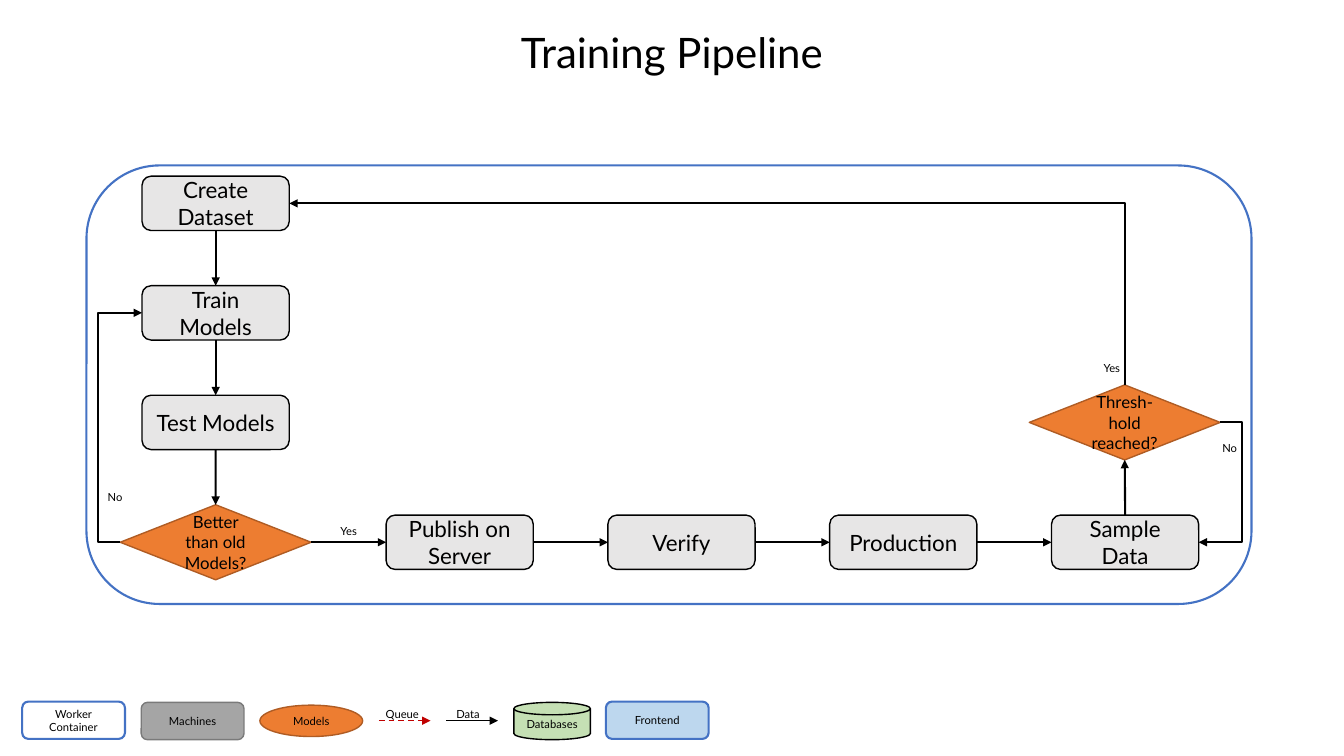
"""Build the Training Pipeline flow chart slide with its legend."""
import lxml.etree
import pptx
import pptx.dml.color
import pptx.enum.dml
import pptx.enum.shapes
import pptx.enum.text
import pptx.oxml.ns
import pptx.util

Cm = pptx.util.Cm
Pt = pptx.util.Pt
SHAPE = pptx.enum.shapes.MSO_SHAPE
CONNECTOR = pptx.enum.shapes.MSO_CONNECTOR
ALIGN = pptx.enum.text.PP_ALIGN
color = pptx.dml.color.RGBColor.from_string
qn = pptx.oxml.ns.qn

BLACK, BLUE, RED = "000000", "4472C4", "C00000"
GREY, ORANGE, BROWN = "E7E6E6", "ED7D31", "AF5C24"
TOP, LEFT, BOTTOM, RIGHT = range(4)

presentation = pptx.Presentation()
presentation.slide_width = Cm(33.87)
presentation.slide_height = Cm(19.05)
slide = presentation.slides.add_slide(presentation.slide_layouts[5])


def write(shape, text, size, align=ALIGN.CENTER):
    frame = shape.text_frame
    frame.text = text
    frame.word_wrap = True
    frame.vertical_anchor = pptx.enum.text.MSO_ANCHOR.MIDDLE
    paragraph = frame.paragraphs[0]
    paragraph.alignment = align
    for run in paragraph.runs:
        run.font.name = "Lato"
        run.font.size = Pt(size)
        run.font.color.rgb = color(BLACK)


def add_box(kind, text, left, top, width, height, size, fill, line, line_width=1):
    shape = slide.shapes.add_shape(kind, Cm(left), Cm(top), Cm(width), Cm(height))
    shape.shadow.inherit = False
    if fill:
        shape.fill.solid()
        shape.fill.fore_color.rgb = color(fill)
    else:
        shape.fill.background()
    shape.line.color.rgb = color(line)
    shape.line.width = Pt(line_width)
    write(shape, text, size)
    return shape


title = slide.shapes.title
title.left, title.top, title.width, title.height = 0, 0, Cm(33.87), Cm(2.6)
write(title, "Training Pipeline", 30)

add_box(SHAPE.ROUNDED_RECTANGLE, "", 2.18, 4.17, 29.36, 11.05, 16, None, BLUE, 1.5)

steps = {}
for row, name in enumerate(["Create Dataset", "Train Models", "Test Models"]):
    steps[name] = add_box(SHAPE.ROUNDED_RECTANGLE, name, 3.58, 4.44 + row * 2.76,
                          3.71, 1.37, 16, GREY, BLACK)
for column, name in enumerate(["Publish on Server", "Verify", "Production", "Sample Data"]):
    steps[name] = add_box(SHAPE.ROUNDED_RECTANGLE, name, 9.73 + column * 5.59, 12.98,
                          3.71, 1.37, 16, GREY, BLACK)
for name, left, top in [("Better than old Models?", 3.03, 12.72),
                        ("Thresh-hold reached?", 25.94, 9.7)]:
    steps[name] = add_box(SHAPE.FLOWCHART_DECISION, name, left, top,
                          4.81, 1.89, 12, ORANGE, BROWN)

links = [
    ("Create Dataset", BOTTOM, "Train Models", TOP),
    ("Train Models", BOTTOM, "Test Models", TOP),
    ("Test Models", BOTTOM, "Better than old Models?", TOP),
    ("Better than old Models?", RIGHT, "Publish on Server", LEFT),
    ("Publish on Server", RIGHT, "Verify", LEFT),
    ("Verify", RIGHT, "Production", LEFT),
    ("Production", RIGHT, "Sample Data", LEFT),
    ("Sample Data", TOP, "Thresh-hold reached?", BOTTOM),
    ("Better than old Models?", LEFT, "Train Models", LEFT),
    ("Thresh-hold reached?", RIGHT, "Sample Data", RIGHT),
    ("Create Dataset", RIGHT, "Thresh-hold reached?", TOP),
]
arrows = []
for start, start_site, end, end_site in links:
    loops_back = start_site == end_site
    turns_once = (start_site, end_site) == (RIGHT, TOP)
    kind = CONNECTOR.ELBOW if loops_back or turns_once else CONNECTOR.STRAIGHT
    connector = slide.shapes.add_connector(kind, 0, 0, 0, 0)
    connector.begin_connect(steps[start], start_site)
    connector.end_connect(steps[end], end_site)
    geometry = connector._element.spPr.find(qn("a:prstGeom"))
    if loops_back:
        guides = geometry.find(qn("a:avLst"))
        lxml.etree.SubElement(guides, qn("a:gd"), name="adj1", fmla="val -101000")
    if turns_once:
        geometry.set("prst", "bentConnector2")
    arrows.append((connector, BLACK, 1.5, "a:headEnd" if turns_once else "a:tailEnd"))

for left, line in [(9.55, RED), (11.25, BLACK)]:
    connector = slide.shapes.add_connector(
        CONNECTOR.STRAIGHT, Cm(left), Cm(18.16), Cm(left + 1.3), Cm(18.16))
    if line == RED:
        connector.line.dash_style = pptx.enum.dml.MSO_LINE.DASH
    arrows.append((connector, line, 1, "a:tailEnd"))

for connector, line, width, arrow_end in arrows:
    connector.line.color.rgb = color(line)
    connector.line.width = Pt(width)
    outline = connector.line._get_or_add_ln()
    lxml.etree.SubElement(outline, qn(arrow_end), type="triangle")
    lxml.etree.SubElement(connector._element.spPr, qn("a:effectLst"))

for text, left, top, width, align in [
    ("Yes", 8.23, 13.09, 1.12, ALIGN.CENTER),
    ("No", 2.34, 12.22, 1.12, ALIGN.CENTER),
    ("Yes", 27.46, 8.97, 1.12, ALIGN.CENTER),
    ("No", 30.43, 11, 1.12, ALIGN.CENTER),
    ("Queue", 9.47, 17.7, 1.4, ALIGN.LEFT),
    ("Data", 11.25, 17.7, 1.4, ALIGN.LEFT),
]:
    label = slide.shapes.add_textbox(Cm(left), Cm(top), Cm(width), Cm(0.6))
    write(label, text, 8, align)

for kind, text, left, top, width, height, fill, line, line_width in [
    (SHAPE.ROUNDED_RECTANGLE, "Worker Container", 0.56, 17.68, 2.59, 0.94, None, BLUE, 1.5),
    (SHAPE.ROUNDED_RECTANGLE, "Machines", 3.56, 17.7, 2.59, 0.94, "A5A5A5", "7A7A7A", 1),
    (SHAPE.OVAL, "Models", 6.55, 17.77, 2.59, 0.79, ORANGE, BROWN, 1),
    (SHAPE.FLOWCHART_MAGNETIC_DISK, "Databases", 12.95, 17.7, 1.93, 0.94, "C5E0B4", BLACK, 1),
    (SHAPE.ROUNDED_RECTANGLE, "Frontend", 15.27, 17.68, 2.59, 0.94, "BDD7EE", BLUE, 1.5),
]:
    add_box(kind, text, left, top, width, height, 8, fill, line, line_width)

presentation.save("out.pptx")
